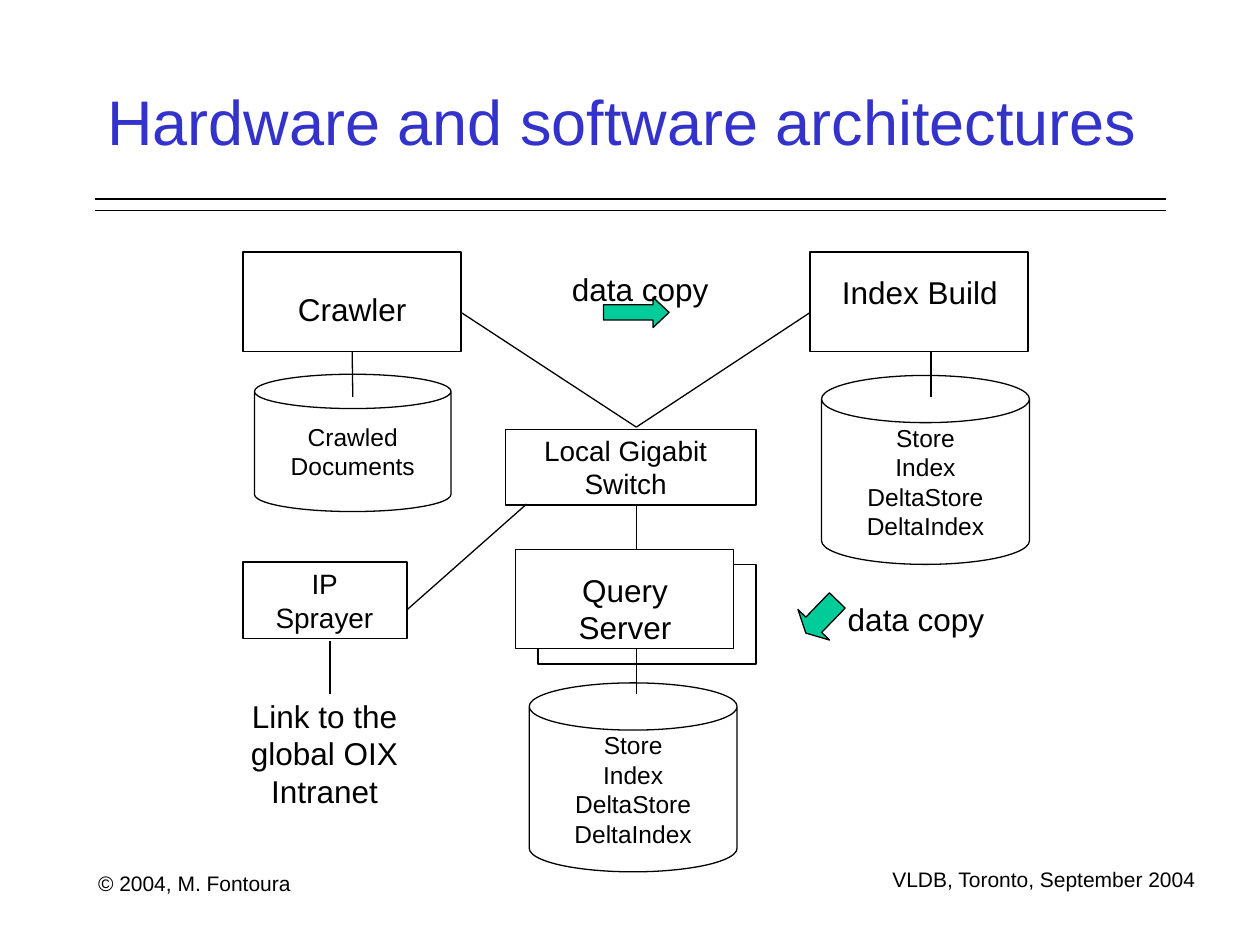
from dataclasses import dataclass
from typing import Optional

from lxml.etree import SubElement
from pptx import Presentation
from pptx.dml.color import RGBColor
from pptx.enum.shapes import MSO_CONNECTOR, MSO_SHAPE
from pptx.enum.text import MSO_ANCHOR, MSO_AUTO_SIZE, PP_ALIGN
from pptx.oxml.ns import qn
from pptx.util import Inches, Pt

BLACK, WHITE, BLUE, GREEN = "000000", "FFFFFF", "3333CC", "00CC99"
STORES = "Store\nIndex\nDeltaStore\nDeltaIndex"


@dataclass
class Block:
    key: str
    at: tuple
    kind: MSO_SHAPE = MSO_SHAPE.RECTANGLE
    text: str = ""
    fill: str = WHITE
    adjustments: tuple = ()
    rotation: float = 0


@dataclass
class Label:
    text: str
    at: tuple
    size: int = 18
    wrap: bool = True
    align: PP_ALIGN = PP_ALIGN.CENTER
    anchor: MSO_ANCHOR = MSO_ANCHOR.TOP


@dataclass
class Link:
    start: tuple
    end: tuple
    begin_block: Optional[str] = None
    begin_site: int = 2


RULES = [Link((0.75, y), (9.25, y)) for y in (1.67, 1.58)]

CAN, ARROW = MSO_SHAPE.CAN, MSO_SHAPE.RIGHT_ARROW
BLOCKS = [
    Block("query server back", (4.27, 4.48, 1.73, 0.79)),
    Block("query server", (4.09, 4.36, 1.73, 0.79)),
    Block("crawler", (1.93, 2, 1.73, 0.79)),
    Block("index build", (6.43, 2, 1.73, 0.79)),
    Block("switch", (4.01, 3.41, 1.99, 0.6)),
    Block("ip sprayer", (1.93, 4.46, 1.3, 0.61)),
    Block("crawl store", (2.02, 2.97, 1.56, 1.09), CAN, "Crawled\nDocuments", adjustments=(0.25,)),
    Block("build store", (6.52, 2.98, 1.65, 1.5), CAN, STORES, adjustments=(0.25,)),
    Block("query store", (4.2, 5.42, 1.65, 1.5), CAN, STORES, adjustments=(0.25,)),
    Block("copy to build", (4.79, 2.36, 0.52, 0.24), ARROW, fill=GREEN, adjustments=(0.5, 0.53)),
    Block("copy to query", (6.34, 4.72, 0.36, 0.35), ARROW, fill=GREEN,
          adjustments=(0.5, 0.26), rotation=134),
]

LINKS = [
    Link((2.8, 2.79), (2.8, 3.15), "crawler"),
    Link((7.39, 2.79), (7.39, 3.15)),
    Link((3.66, 2.48), (5.05, 3.39)),
    Link((6.43, 2.48), (5.05, 3.39)),
    Link((5.05, 4), (5.05, 4.36)),
    Link((4.18, 4), (3.23, 4.84)),
    Link((2.62, 5.09), (2.62, 5.51)),
    Link((5.05, 5.15), (5.05, 5.51)),
]

LEFT, MIDDLE = PP_ALIGN.LEFT, MSO_ANCHOR.MIDDLE
LABELS = [
    Label("© 2004, M. Fontoura", (0.68, 6.86, 1.73, 0.3), 12, False, LEFT, MIDDLE),
    Label("VLDB, Toronto, September 2004", (6.97, 6.83, 2.63, 0.3), 12, False, anchor=MIDDLE),
    Label("Query Server", (4.22, 4.48, 1.48, 0.7)),
    Label("Crawler", (2.06, 2.25, 1.47, 0.4)),
    Label("Index Build", (6.56, 2.12, 1.48, 0.4)),
    Label("Local Gigabit Switch", (4.07, 3.39, 1.79, 0.64), 16),
    Label("IP Sprayer", (1.99, 4.45, 1.17, 0.64), 16),
    Label("data copy", (4.44, 2.09, 1.3, 0.4), wrap=False, align=LEFT),
    Label("data copy", (6.63, 4.71, 1.3, 0.4), wrap=False, align=LEFT),
    Label("Link to the global OIX Intranet", (1.58, 5.48, 1.99, 1)),
]


def rgb(color: str) -> RGBColor:
    return RGBColor.from_string(color)


def box(at: tuple) -> list:
    return [Inches(v) for v in at]


def write(tf, text: str, size: int, color: str = BLACK, align=PP_ALIGN.CENTER,
          before: float = 0, **frame) -> None:
    """Fill a text frame; extra keywords are attributes of the frame."""
    for key, value in frame.items():
        setattr(tf, key, value)
    for i, line in enumerate(text.split("\n")):
        p = tf.add_paragraph() if i else tf.paragraphs[0]
        p.alignment = align
        p.space_before = Pt(before)
        r = p.add_run()
        r.text = line
        for key, value in {"name": "Arial", "size": Pt(size), "bold": False}.items():
            setattr(r.font, key, value)
        r.font.color.rgb = rgb(color)


def add_block(s, block: Block):
    sp = s.shapes.add_shape(block.kind, *box(block.at))
    sp.shadow.inherit = False
    sp.rotation = block.rotation
    for i, value in enumerate(block.adjustments):
        sp.adjustments[i] = value
    sp.fill.solid()
    sp.fill.fore_color.rgb = rgb(block.fill)
    sp.line.color.rgb = rgb(BLACK)
    sp.line.width = Pt(0.75)
    if block.text:
        write(sp.text_frame, block.text, 14, word_wrap=False, vertical_anchor=MIDDLE)
    return sp


def add_link(s, link: Link, blocks: dict) -> None:
    line = s.shapes.add_connector(MSO_CONNECTOR.STRAIGHT, *box(link.start + link.end))
    line.line.color.rgb = rgb(BLACK)
    line.line.width = Pt(0.75)
    SubElement(line._element.spPr, qn("a:effectLst"))
    if link.begin_block:
        line.begin_connect(blocks[link.begin_block], link.begin_site)


def add_label(s, label: Label) -> None:
    tf = s.shapes.add_textbox(*box(label.at)).text_frame
    before = label.size * 0.62 if label.wrap else 0
    write(tf, label.text, label.size, align=label.align, before=before, word_wrap=label.wrap,
          vertical_anchor=label.anchor, auto_size=MSO_AUTO_SIZE.SHAPE_TO_FIT_TEXT)


def main() -> None:
    prs = Presentation()
    prs.slide_width, prs.slide_height = Inches(10), Inches(7.5)
    s = prs.slides.add_slide(prs.slide_layouts[5])

    title = s.shapes.title
    title.left, title.top, title.width, title.height = box((0.75, 0.33, 9.08, 1.25))
    write(title.text_frame, "Hardware and software architectures", 36, BLUE, LEFT,
          word_wrap=True, vertical_anchor=MIDDLE, auto_size=MSO_AUTO_SIZE.NONE)

    blocks = {block.key: add_block(s, block) for block in BLOCKS}
    for link in RULES + LINKS:
        add_link(s, link, blocks)
    for label in LABELS:
        add_label(s, label)
    prs.save("out.pptx")


if __name__ == "__main__":
    main()
